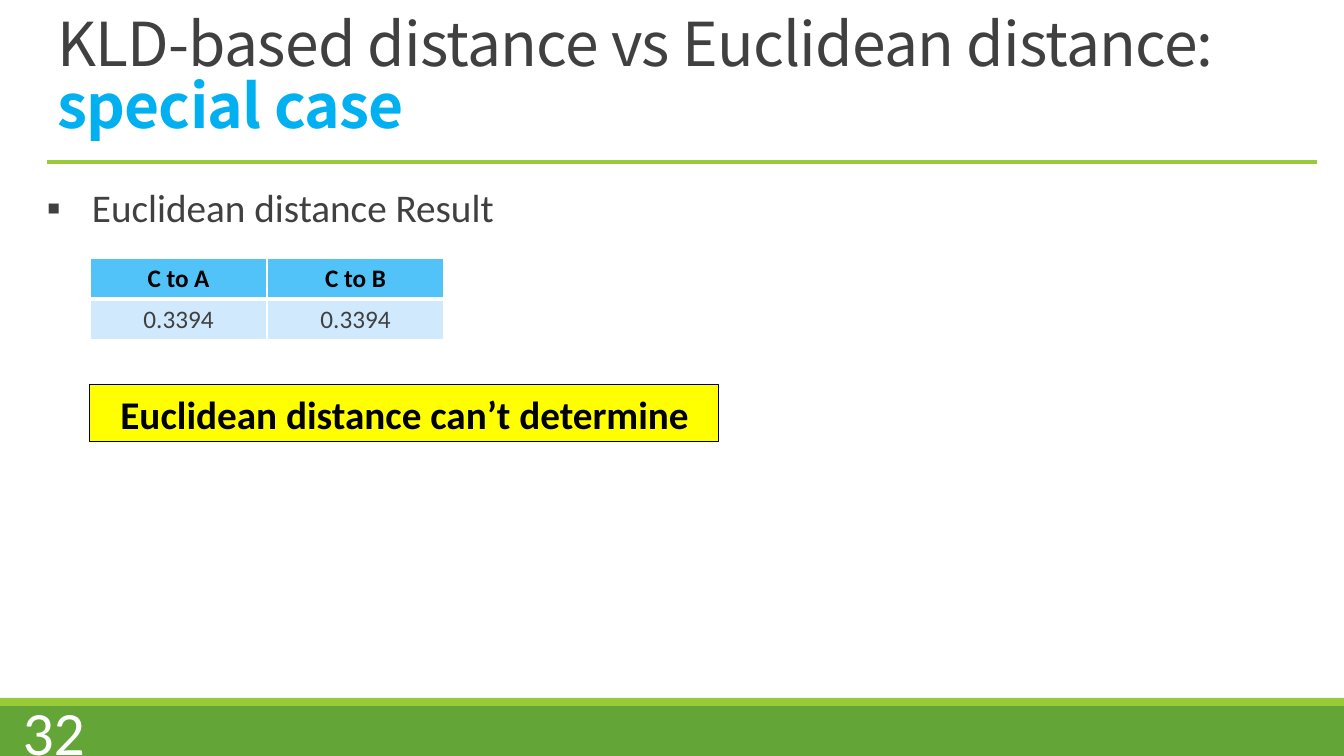
from pptx import Presentation
from pptx.dml.color import RGBColor
from pptx.enum.shapes import MSO_CONNECTOR as Connector, MSO_SHAPE as Shape
from pptx.enum.text import MSO_ANCHOR as Anchor, PP_ALIGN as Align
from pptx.oxml.ns import qn
from pptx.util import Emu, Pt
from lxml.etree import SubElement

EMU_PER_PX = 914400 / 100.8
COLORS = {
    "ink": "404040",
    "black": "000000",
    "white": "FFFFFF",
    "accent": "00B0F0",
    "green": "63A537",
    "lime": "99CB38",
    "header": "51C3F9",
    "body": "D0E9FD",
    "yellow": "FFFF00",
}
DISTANCES = [["C to A", "C to B"], ["0.3394", "0.3394"]]


def px(length):
    return Emu(round(length * EMU_PER_PX))


def rgb(name):
    return RGBColor.from_string(COLORS[name])


def write(paragraph, text, size=28, color="ink", bold=False, font="Calibri",
          align=Align.LEFT, line_spacing=None, tracking=None):
    paragraph.alignment = align
    if line_spacing:
        paragraph.line_spacing = line_spacing
    run = paragraph.add_run()
    run.text = text
    run.font.name = font
    run.font.size = Pt(size)
    run.font.bold = bold
    run.font.color.rgb = rgb(color)
    if tracking:
        run.font._element.set("spc", str(tracking))


def add_box(slide, left, top, width, height, fill, outline=None):
    box = slide.shapes.add_shape(Shape.RECTANGLE, px(left), px(top), px(width), px(height))
    box.shadow.inherit = False
    box.fill.solid()
    box.fill.fore_color.rgb = rgb(fill)
    if outline:
        box.line.color.rgb = rgb(outline)
        box.line.width = Pt(0.75)
    else:
        box.line.fill.background()
    return box


def add_text_frame(slide, left, top, width, height, anchor=Anchor.TOP):
    frame = slide.shapes.add_textbox(px(left), px(top), px(width), px(height)).text_frame
    frame.word_wrap = True
    frame.vertical_anchor = anchor
    return frame


def add_rule(slide, left, right, y):
    rule = slide.shapes.add_connector(Connector.STRAIGHT, px(left), px(y), px(right), px(y))
    rule.line.color.rgb = rgb("lime")
    rule.line.width = Pt(3)
    SubElement(rule._element.spPr, qn("a:effectLst"))


def add_title(slide):
    title = slide.shapes.title
    title.left, title.top, title.width, title.height = px(47), px(0), px(1187), px(146)
    frame = title.text_frame
    frame.word_wrap = True
    frame.vertical_anchor = Anchor.BOTTOM
    heading = frame.paragraphs[0]
    style = dict(size=43.2, font="Noto Sans CJK SC", line_spacing=0.85, tracking=-50)
    write(heading, "KLD-based distance vs Euclidean distance:", **style)
    heading.add_line_break()
    write(heading, "special case", color="accent", bold=True, **style)


def add_bullet(slide, text):
    frame = add_text_frame(slide, 47, 184, 575, 489)
    frame.margin_left = frame.margin_right = 0
    paragraph = frame.paragraphs[0]
    properties = paragraph._p.get_or_add_pPr()
    properties.set("marL", str(px(45)))
    properties.set("indent", str(px(-45)))
    SubElement(properties, qn("a:buFont"), typeface="Calibri")
    SubElement(properties, qn("a:buChar"), char="▪")
    paragraph.space_after = Pt(2)
    write(paragraph, text, line_spacing=0.9)


def set_borders(cell, bottom):
    properties = cell._tc.get_or_add_tcPr()
    for index, (side, width) in enumerate([("lnL", 1), ("lnR", 1), ("lnT", 1), ("lnB", bottom)]):
        border = SubElement(properties, qn(f"a:{side}"), w=str(Pt(width)))
        fill = SubElement(border, qn("a:solidFill"))
        SubElement(fill, qn("a:srgbClr"), val=COLORS["white"])
        properties.insert(index, border)


def add_distance_table(slide):
    row_height, column_width = 41, 177
    table = slide.shapes.add_table(2, 2, px(90), px(258), px(2 * column_width),
                                   px(2 * row_height)).table
    for column in table.columns:
        column.width = px(column_width)
    for row_index, values in enumerate(DISTANCES):
        is_header = row_index == 0
        table.rows[row_index].height = px(row_height)
        for column_index, value in enumerate(values):
            cell = table.cell(row_index, column_index)
            cell.fill.solid()
            cell.fill.fore_color.rgb = rgb("header" if is_header else "body")
            set_borders(cell, bottom=3 if is_header else 1)
            write(cell.text_frame.paragraphs[0], value, size=18, bold=is_header,
                  color="black" if is_header else "ink", align=Align.CENTER)


def add_conclusion(slide, text):
    frame = add_box(slide, 90, 385, 629, 57, "yellow", outline="black").text_frame
    frame.word_wrap = True
    write(frame.paragraphs[0], text, color="black", bold=True, align=Align.CENTER)


def add_footer(slide, number):
    add_box(slide, 0, 706, 1344, 50, "green")
    add_box(slide, 0, 698, 1344, 8, "lime")
    frame = add_text_frame(slide, 0, 711, 95, 40, Anchor.MIDDLE)
    write(frame.paragraphs[0], number, size=44, color="white", align=Align.RIGHT)


def main():
    deck = Presentation()
    deck.slide_width, deck.slide_height = px(1344), px(756)
    slide = deck.slides.add_slide(deck.slide_layouts[5])
    slide.background.fill.solid()
    slide.background.fill.fore_color.rgb = rgb("white")
    add_footer(slide, "32")
    add_title(slide)
    add_rule(slide, 47, 1317, 162)
    add_bullet(slide, "Euclidean distance Result")
    add_distance_table(slide)
    add_conclusion(slide, "Euclidean distance can’t determine")
    deck.save("out.pptx")


if __name__ == "__main__":
    main()
